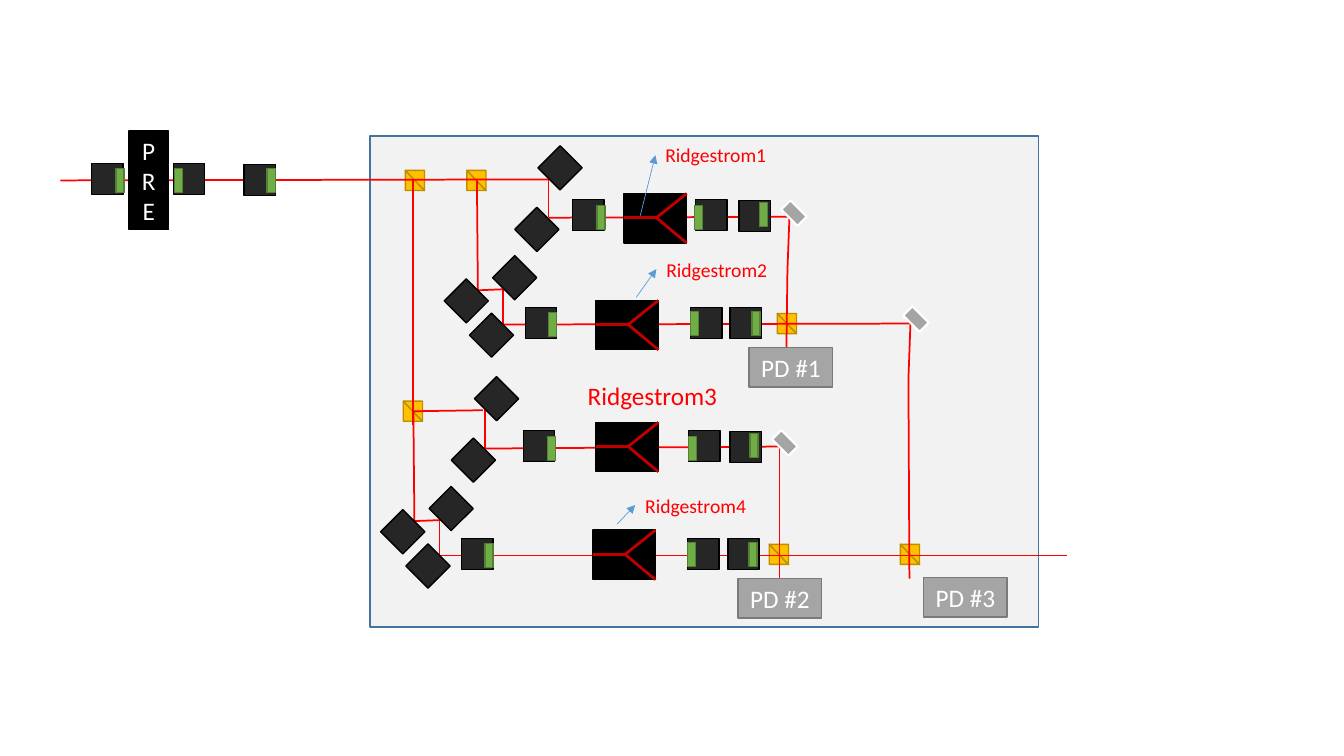
from itertools import pairwise

from pptx import Presentation
from pptx.dml import color
from pptx.enum import shapes, text
from pptx.oxml import ns
from pptx.util import Inches, Pt
from lxml import etree

RECT = shapes.MSO_SHAPE.RECTANGLE
TRIANGLE = shapes.MSO_SHAPE.RIGHT_TRIANGLE
RED, BLACK, DARK, WHITE, GRAY = "FF0000", "000000", "262626", "FFFFFF", "A5A5A5"

# The lower pair of arms repeats the folded path of the upper pair
ARM_SHIFTS = [(0, 0), (-0.63, 2.29)]
FOLD_PATHS = [
    [(4.73, 1.79), (4.74, 2.88), (4.99, 2.87), (4.99, 3.22)],
    [(5.44, 1.76), (5.44, 2.15)],
]
FOLD_MIRRORS = [(5.4, 1.51), (5.17, 2.12), (4.95, 2.6), (4.72, 3.17), (4.47, 2.83)]

BEAM_PATHS = [
    [(0.6, 1.79), (5.44, 1.78)],
    [(4.1, 1.78), (4.1, 4.22)],
    [(4.1, 4.08), (4.79, 4.07)],
    [(5.44, 2.16), (7.83, 2.15), (7.81, 2.68), (7.8, 3.45)],
    [(4.99, 3.22), (9.03, 3.21), (9.01, 3.76), (9.02, 5.74)],
    [(4.81, 4.45), (7.73, 4.43), (7.73, 5.74)],
    [(4.36, 5.51), (10.58, 5.51)],
]
SPLITTERS = [(4.02, 1.69), (4.63, 1.69), (7.71, 3.11), (4, 3.98), (7.63, 5.4), (8.93, 5.4)]
END_MIRRORS = [(7.76, 2.05), (7.67, 4.33), (8.97, 3.1)]
CRYSTALS = [(6.19, 1.92), (5.91, 2.98), (5.91, 4.19), (5.88, 5.26)]

# Left and top of each mount, then the offset of its green lens
MOUNTS = [
    (0.91, 1.62, 0.24, 0.05), (1.72, 1.62, 0.01, 0.05), (2.42, 1.63, 0.23, 0.04),
    (5.68, 1.98, 0.24, 0.06), (6.9, 1.98, -0.01, 0.06), (7.33, 1.99, 0.2, 0.02),
    (5.21, 3.05, 0.23, 0.05), (6.85, 3.05, 0, 0.04), (7.24, 3.05, 0.22, 0.04),
    (5.19, 4.27, 0.24, 0.06), (6.83, 4.27, 0, 0.06), (7.24, 4.28, 0.2, 0.02),
    (4.58, 5.34, 0.23, 0.05), (6.82, 5.34, 0, 0.04), (7.22, 5.34, 0.21, 0.04),
]
DETECTORS = [("PD #1", 7.43, 3.45), ("PD #2", 7.32, 5.74), ("PD #3", 9.16, 5.73)]
LABELS = [
    ("Ridgestrom1", 6.5, 1.37, 1.21, 0.34, 14),
    ("Ridgestrom2", 6.51, 2.51, 1.21, 0.34, 14),
    ("Ridgestrom3", 5.73, 3.72, 1.5, 0.4, 18),
    ("Ridgestrom4", 6.3, 4.85, 1.21, 0.34, 14),
]
POINTERS = [
    [(6.35, 2.14), (6.5, 1.54)],
    [(6.31, 2.95), (6.51, 2.67)],
    [(6.12, 5.2), (6.3, 5.01)],
]


def rgb(value):
    """Turn a hex string into a colour."""
    return color.RGBColor.from_string(value)


def add_block(parent, x, y, w, h, fill, line, width=1, kind=RECT, rotation=0):
    """Draw a flat filled shape."""
    sp = parent.add_shape(kind, *map(Inches, (x, y, w, h)))
    sp.shadow.inherit = False
    sp.fill.solid()
    sp.fill.fore_color.rgb = rgb(fill)
    sp.line.color.rgb = rgb(line)
    sp.line.width = Pt(width)
    sp.rotation = rotation
    return sp


def add_path(parent, points, line=RED, width=1.25, arrow=False):
    """Join successive points with straight connectors."""
    for start, end in pairwise(points):
        c = parent.add_connector(shapes.MSO_CONNECTOR.STRAIGHT, *map(Inches, start + end))
        c.line.color.rgb = rgb(line)
        c.line.width = Pt(width)
        props = c._element.spPr
        etree.SubElement(props, ns.qn("a:effectLst"))
        if arrow:
            etree.SubElement(props.find(ns.qn("a:ln")), ns.qn("a:tailEnd"), type="triangle")


def write(sp, words, size, ink, align=text.PP_ALIGN.CENTER):
    """Put one formatted line of text into a shape."""
    p = sp.text_frame.paragraphs[0]
    p.alignment = align
    r = p.add_run()
    r.text = words
    for name, value in {"name": "Calibri", "size": Pt(size)}.items():
        setattr(r.font, name, value)
    r.font.color.rgb = rgb(ink)


def add_caption_block(parent, words, box, fill, line):
    """Draw a rectangle with centred white text."""
    sp = add_block(parent, *box, fill, line)
    sp.text_frame.word_wrap = True
    sp.text_frame.vertical_anchor = text.MSO_ANCHOR.MIDDLE
    write(sp, words, 18, WHITE)


def add_label(parent, words, x, y, w, h, size):
    """Write a red crystal name that does not wrap."""
    sp = parent.add_textbox(*map(Inches, (x, y, w, h)))
    sp.text_frame.word_wrap = False
    sp.text_frame.auto_size = text.MSO_AUTO_SIZE.SHAPE_TO_FIT_TEXT
    write(sp, words, size, RED, text.PP_ALIGN.LEFT)


def add_splitter(parent, x, y):
    """Build a beam splitter cube from two triangles."""
    cube = parent.add_group_shape().shapes
    for rotation in (0, 180):
        add_block(cube, x, y, 0.19, 0.2, "FFC000", "BD8E00", kind=TRIANGLE, rotation=rotation)


def add_mount(parent, x, y, dx, dy):
    """Build a dark mount with its green lens."""
    mount = parent.add_group_shape().shapes
    add_block(mount, x, y, 0.31, 0.31, DARK, BLACK)
    add_block(mount, x + dx, y + dy, 0.08, 0.24, "70AD47", "538035")


def add_crystal(parent, x, y):
    """Build a crystal whose beam forks to the right corners."""
    crystal = parent.add_group_shape().shapes
    add_block(crystal, x, y, 0.62, 0.49, BLACK, BLACK)
    fork = (x + 0.32, y + 0.24)
    for end in ((x, y + 0.24), (x + 0.62, y), (x + 0.62, y + 0.49)):
        add_path(crystal, [fork, end], "C00000", 2)


def main():
    """Build the optical layout slide."""
    prs = Presentation()
    prs.slide_width, prs.slide_height = Inches(13.33), Inches(7.5)
    s = prs.slides.add_slide(prs.slide_layouts[6]).shapes

    add_block(s, 3.67, 1.35, 6.63, 4.87, "F2F2F2", "43739E")
    for splitter in SPLITTERS:
        add_splitter(s, *splitter)
    for path_points in BEAM_PATHS:
        add_path(s, path_points)
    for dx, dy in ARM_SHIFTS:
        for fold in FOLD_PATHS:
            add_path(s, [(x + dx, y + dy) for x, y in fold])
        for x, y in FOLD_MIRRORS:
            add_block(s, x + dx, y + dy, 0.31, 0.31, DARK, BLACK, rotation=315)
    for mount in MOUNTS:
        add_mount(s, *mount)
    add_caption_block(s, "PRE", (1.28, 1.3, 0.39, 0.98), BLACK, BLACK)
    for words, x, y in DETECTORS:
        add_caption_block(s, words, (x, y, 0.83, 0.39), GRAY, "7A7A7A")
    for crystal in CRYSTALS:
        add_crystal(s, *crystal)
    for x, y in END_MIRRORS:
        add_block(s, x, y, 0.23, 0.13, GRAY, WHITE, 1.5, rotation=45)
    for pointer in POINTERS:
        add_path(s, pointer, "5B9BD5", 0.5, arrow=True)
    for label in LABELS:
        add_label(s, *label)

    prs.save("out.pptx")


main()
